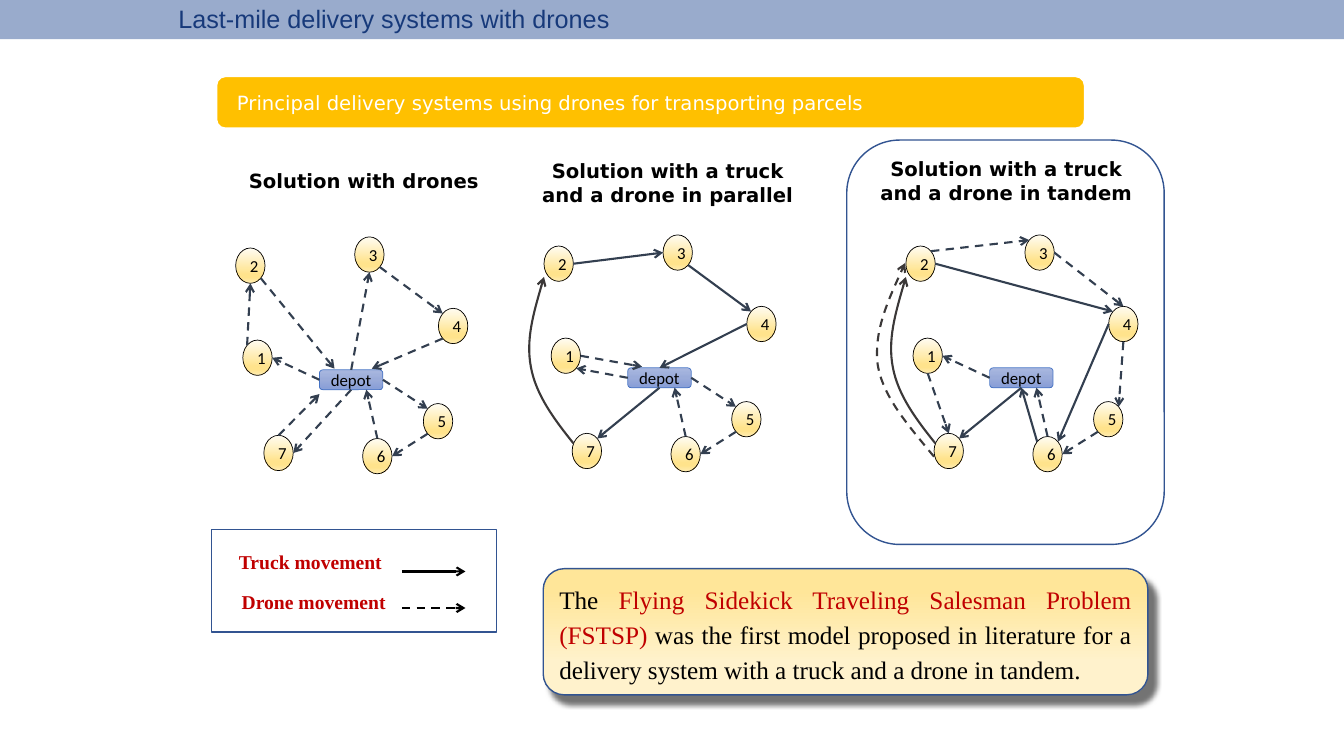
from dataclasses import dataclass

from lxml import etree
from pptx import Presentation
from pptx.dml.color import RGBColor
from pptx.enum.dml import MSO_LINE
from pptx.enum.shapes import MSO_CONNECTOR, MSO_SHAPE
from pptx.enum.text import MSO_ANCHOR, PP_ALIGN
from pptx.oxml.ns import qn
from pptx.util import Cm, Pt

RECT, ROUND, OVAL = MSO_SHAPE.RECTANGLE, MSO_SHAPE.ROUNDED_RECTANGLE, MSO_SHAPE.OVAL
STRAIGHT, DASH, MIDDLE = MSO_CONNECTOR.STRAIGHT, MSO_LINE.DASH, MSO_ANCHOR.MIDDLE
LEFT, CENTER, JUSTIFY = PP_ALIGN.LEFT, PP_ALIGN.CENTER, PP_ALIGN.JUSTIFY
BLACK, WHITE, RED, NAVY, SLATE, CHARCOAL = "000000", "FFFFFF", "C00000", "325491", "333F50", "3B3838"
SANS, SERIF, LABEL = "DejaVu Sans", "Times New Roman", "Calibri"
NODE_STOPS = [(0, "FFFCF2"), (74, "FFE38C"), (83, "FFE38C"), (100, "FFECB2")]
DEPOT_STOPS = [(0, "A8B7DF"), (50, "9AABD9"), (100, "889ED7")]
CALLOUT_STOPS = [(0, "FFE699"), (18, "FFE699"), (74, "FFF2CC"), (99, "FFF2CC")]
NODE_SIZE, DEPOT_SIZE = (0.74, 0.89), (1.6, 0.5)
NODES = {"1": (-1.93, -0.75), "2": (-2.11, -3.07), "3": (0.89, -3.35), "4": (3, -1.55),
         "5": (2.62, 0.85), "6": (1.09, 1.73), "7": (-1.4, 1.65)}
DIAGONAL = 0.71
SITES = {"N": (0, -1), "W": (-1, 0), "S": (0, 1), "E": (1, 0),
         "NW": (-DIAGONAL, -DIAGONAL), "NE": (DIAGONAL, -DIAGONAL),
         "SW": (-DIAGONAL, DIAGONAL), "SE": (DIAGONAL, DIAGONAL)}
DEPOT_SITES = {"dN": 0, "dW": 1, "dS": 2, "dE": 3}
Point = tuple[float, float]
Anchor = str | Point


@dataclass
class Edge:
    """A move between two anchors: node and compass side, or an offset from the depot."""
    start: Anchor
    end: Anchor
    drone: bool = True


@dataclass
class Curve:
    """A Bézier move given by offsets from the depot."""
    points: list[Point]
    drone: bool = False


@dataclass
class Network:
    """One delivery system, placed by the top left corner of its depot."""
    depot: Point
    edges: list[Edge]
    curves: list[Curve]


@dataclass
class Label:
    """A bold line of text in its own box."""
    text: str
    box: tuple[float, float, float, float]
    font: str = SANS
    color: str = BLACK
    align: PP_ALIGN = CENTER


TRUCK_RETURN = Curve([(-1.37, 1.9), (-1.85, 1.3), (-2.31, 0.69), (-2.44, -0.02),
                      (-2.57, -0.71), (-2.34, -1.5), (-2.11, -2.29)])
DRONE_RETURN = Curve([(-1.4, 2.24), (-2.03, 1.47), (-2.69, 0.74), (-2.82, -0.08),
                      (-2.92, -0.89), (-2.54, -1.75), (-2.13, -2.64)], True)
FIVE_TO_DEPOT = [Edge("5SW", "6E"), Edge("6N", (1.18, 0.5))]
NETWORKS = [
    Network((8.05, 9.32), [
        Edge("dW", "1E"), Edge("1NW", "2S"), Edge("2SE", (0.38, -0.03)), Edge("dN", "3S"),
        Edge("3SE", "4NW"), Edge("4SW", (1.32, -0.03)), Edge("dE", "5NW"), *FIVE_TO_DEPOT,
        Edge("dS", "7E"), Edge("7N", (0, 0.61))], []),
    Network((15.82, 9.27), [
        Edge("dW", "1SE"), Edge("1E", (0.36, -0.03)), Edge("dE", "5NW"), *FIVE_TO_DEPOT,
        Edge("2E", "3W", False), Edge("3SE", "4NW", False), Edge("4W", "dN", False),
        Edge("dS", "7NE", False)], [TRUCK_RETURN]),
    Network((24.94, 9.27), [
        Edge("dW", "1E"), Edge("1S", "7N"), Edge("4S", "5NE"), *FIVE_TO_DEPOT,
        Edge("2NE", "3NW"), Edge("3E", "4N"), Edge("2E", "4NW", False),
        Edge("4W", "6NE", False), Edge("6NW", "dS", False),
        Edge("dS", "7NE", False)], [TRUCK_RETURN, DRONE_RETURN]),
]
LABELS = [
    Label("Solution with drones", (6.02, 4.14, 6.5, 0.86), align=LEFT),
    Label("Solution with a truck and a drone in parallel", (13.21, 3.88, 7.24, 1.45)),
    Label("Solution with a truck and a drone in tandem", (21.74, 3.83, 7.24, 1.45)),
    Label("Truck movement", (5.77, 13.72, 5.92, 0.86), SERIF, RED, LEFT),
    Label("Drone movement", (5.84, 14.73, 5.92, 0.86), SERIF, RED, LEFT),
]


def rgb(value: str) -> RGBColor:
    """Turn a hex string into a colour."""
    return RGBColor.from_string(value)


def add(parent, tag: str, **attrs):
    """Append a drawing element."""
    return etree.SubElement(parent, qn(tag), {k: str(v) for k, v in attrs.items()})


def style_text(p, font: str, size: float, color: str, align=CENTER, bold=False) -> None:
    """Format a whole paragraph."""
    p.alignment = align
    p.font.name, p.font.size, p.font.bold = font, Pt(size), bold
    p.font.color.rgb = rgb(color)


def add_box(s, kind, box, fill=None, line=None, width=1.0):
    """Draw a preset shape with a plain colour, a list of gradient stops or no fill."""
    sp = s.shapes.add_shape(kind, *map(Cm, box))
    sp.shadow.inherit = False
    if isinstance(fill, list):
        sp.fill.gradient()
        sp.fill.gradient_angle = 270
        stops = sp.element.spPr.find(".//" + qn("a:gsLst"))
        stops.clear()
        for pos, color in fill:
            add(add(stops, "a:gs", pos=pos * 1000), "a:srgbClr", val=color)
    elif fill:
        sp.fill.solid()
        sp.fill.fore_color.rgb = rgb(fill)
    else:
        sp.fill.background()
    if line:
        sp.line.color.rgb = rgb(line)
        sp.line.width = Pt(width)
    else:
        sp.line.fill.background()
    return sp


def style_move(shape, color: str, drone: bool) -> None:
    """Give a move its colour, dash and arrowhead."""
    shape.line.color.rgb = rgb(color)
    shape.line.width = Pt(1.5)
    if drone:
        shape.line.dash_style = DASH
    add(shape.line._get_or_add_ln(), "a:tailEnd", type="arrow")


def add_arrow(s, start: Point, end: Point, color: str, drone: bool):
    """Draw a straight move."""
    line = s.shapes.add_connector(STRAIGHT, *map(Cm, (*start, *end)))
    style_move(line, color, drone)
    add(line._element.spPr, "a:effectLst")
    return line


def add_curve(s, depot: Point, curve: Curve) -> None:
    """Draw a curved move whose points become Bézier segments."""
    points = [(Cm(depot[0] + x), Cm(depot[1] + y)) for x, y in curve.points]
    builder = s.shapes.build_freeform(*points[0])
    builder.add_line_segments(points[1:], close=False)
    sp = builder.convert_to_shape()
    sp.shadow.inherit = False
    sp.fill.background()
    style_move(sp, CHARCOAL, curve.drone)
    outline = sp.element.spPr.find(".//" + qn("a:path"))
    steps = outline.findall(qn("a:lnTo"))
    for i in range(0, len(steps), 3):
        bezier = add(outline, "a:cubicBezTo")
        for step in steps[i:i + 3]:
            bezier.append(step[0])
            outline.remove(step)


def locate(depot: Point, anchor: Anchor) -> Point:
    """Find an anchor on the slide."""
    if not isinstance(anchor, str):
        return depot[0] + anchor[0], depot[1] + anchor[1]
    (x, y), (w, h) = (NODES[anchor[0]], NODE_SIZE) if anchor[0] in NODES else ((0, 0), DEPOT_SIZE)
    dx, dy = SITES[anchor[1:]]
    return depot[0] + x + w / 2 * (1 + dx), depot[1] + y + h / 2 * (1 + dy)


def add_network(s, net: Network) -> None:
    """Draw a depot, its customers and the moves between them."""
    depot = add_box(s, ROUND, (*net.depot, *DEPOT_SIZE), DEPOT_STOPS, "4472C4", 0.5)
    depot.text_frame.text = "depot"
    style_text(depot.text_frame.paragraphs[0], LABEL, 12, BLACK)
    for name, offset in NODES.items():
        node = add_box(s, OVAL, (*locate(net.depot, offset), *NODE_SIZE), NODE_STOPS, BLACK, 0.5)
        node.text_frame.text = name
        style_text(node.text_frame.paragraphs[0], LABEL, 12, BLACK)
    for edge in net.edges:
        line = add_arrow(s, locate(net.depot, edge.start), locate(net.depot, edge.end), SLATE, edge.drone)
        if edge.start in DEPOT_SITES:
            line.begin_connect(depot, DEPOT_SITES[edge.start])
        if edge.end in DEPOT_SITES:
            line.end_connect(depot, DEPOT_SITES[edge.end])
    for curve in net.curves:
        add_curve(s, net.depot, curve)


def add_label(s, label: Label) -> None:
    """Draw a bold label."""
    tf = s.shapes.add_textbox(*map(Cm, label.box)).text_frame
    tf.word_wrap = True
    tf.text = label.text
    style_text(tf.paragraphs[0], label.font, 14, label.color, label.align, True)


def add_header(s) -> None:
    """Fill the title, its translucent band and the banner."""
    title = s.shapes.title
    title.left, title.top, title.width, title.height = map(Cm, (4.24, 0, 23.42, 0.91))
    title.text_frame.text = "Last-mile delivery systems with drones"
    title.text_frame.vertical_anchor = MIDDLE
    style_text(title.text_frame.paragraphs[0], "Arial", 18, "002060", LEFT)
    band = add_box(s, RECT, (0, 0, 33.87, 0.99), "2F5597")
    add(band.element.spPr.find(".//" + qn("a:srgbClr")), "a:alpha", val=49000)
    banner = add_box(s, ROUND, (5.46, 1.93, 21.87, 1.3), "FFC000", WHITE)
    banner.text_frame.margin_left = Cm(0.45)
    banner.text_frame.text = "Principal delivery systems using drones for transporting parcels"
    style_text(banner.text_frame.paragraphs[0], SANS, 14, WHITE, LEFT)


def add_callout(s) -> None:
    """Draw the shadowed note on the tandem model."""
    sp = add_box(s, ROUND, (13.69, 14.33, 15.24, 3.18), CALLOUT_STOPS, NAVY)
    shadow = add(sp.element.spPr.find(qn("a:effectLst")), "a:outerShdw", blurRad=Pt(4), dist=Pt(8),
                 dir=52 * 60000, algn="tl", rotWithShape=0)
    add(add(shadow, "a:srgbClr", val=BLACK), "a:alpha", val=55000)
    p = sp.text_frame.paragraphs[0]
    style_text(p, SERIF, 18, BLACK, JUSTIFY)
    p.line_spacing = Pt(25)
    for text, color in [
            ("The ", BLACK), ("Flying Sidekick Traveling Salesman Problem (FSTSP) ", RED),
            ("was the first model proposed in literature for a delivery system with a truck and a drone in tandem.",
             BLACK)]:
        r = p.add_run()
        r.text = text
        r.font.color.rgb = rgb(color)


def main() -> None:
    """Build and save the slide."""
    prs = Presentation()
    prs.slide_width, prs.slide_height = Cm(33.87), Cm(19.05)
    s = prs.slides.add_slide(prs.slide_layouts[5])
    add_header(s)
    for label in LABELS:
        add_label(s, label)
    add_box(s, RECT, (5.33, 13.34, 7.19, 2.59), line=NAVY)
    for y, drone in [(14.4, False), (15.32, True)]:
        add_arrow(s, (10.13, y), (11.73, y), BLACK, drone)
    add_callout(s)
    add_box(s, ROUND, (21.34, 3.53, 8, 10.19), line=NAVY)
    for net in NETWORKS:
        add_network(s, net)
    prs.save("out.pptx")


if __name__ == "__main__":
    main()
